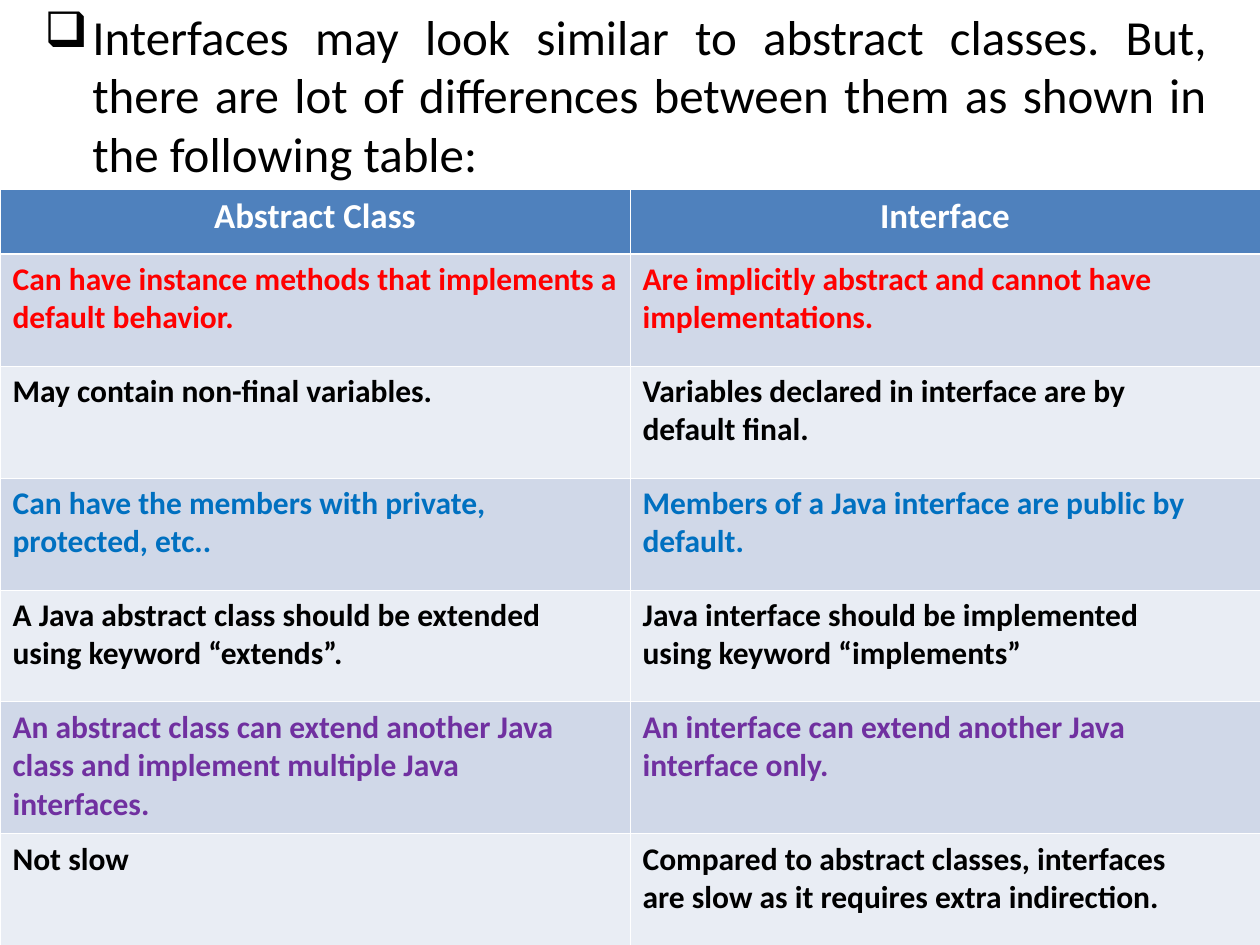
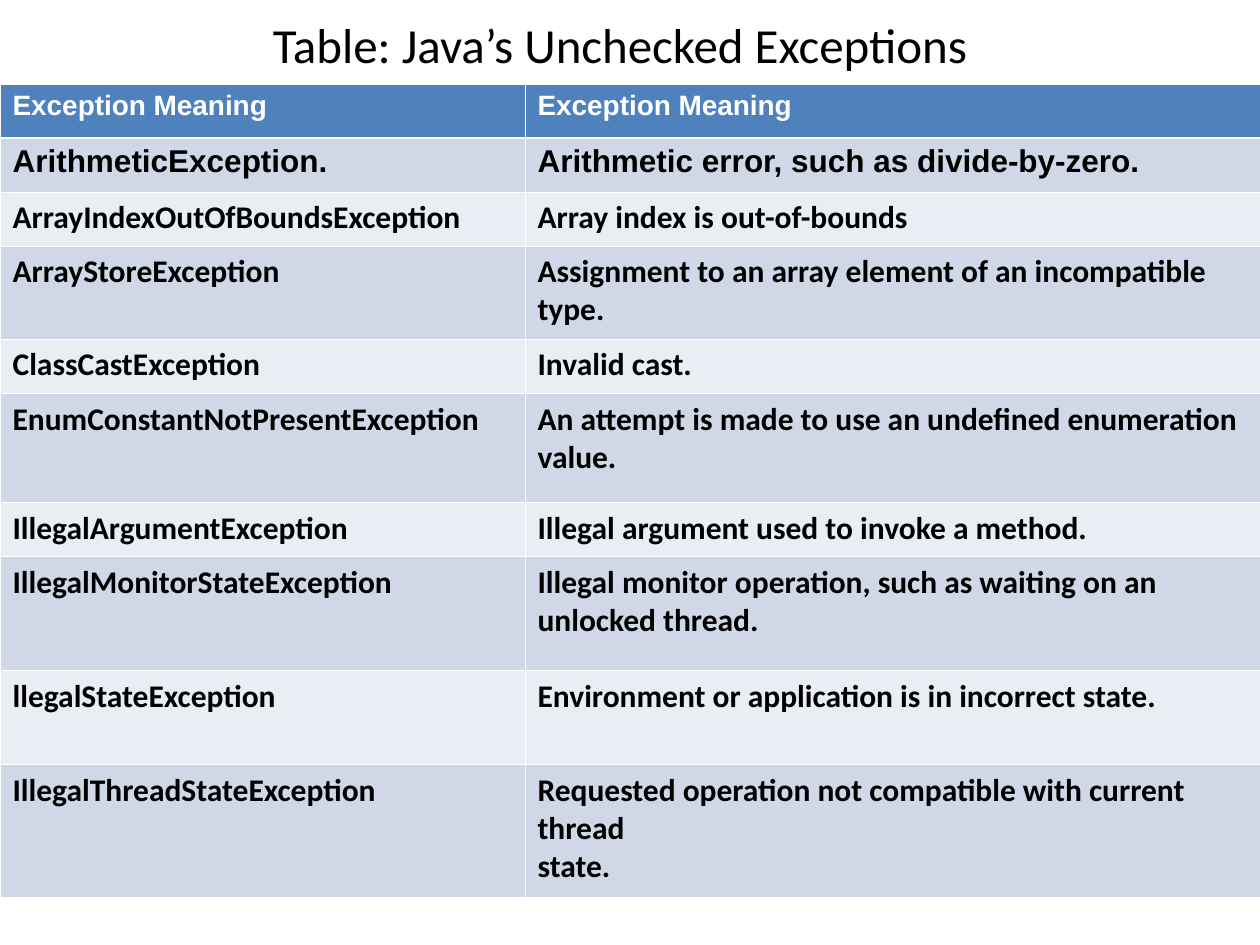
"""Build two slides of Java comparison tables: abstract classes and unchecked exceptions."""
import lxml.etree
import pptx
import pptx.dml.color
import pptx.enum.text
import pptx.oxml.ns
import pptx.util

PX = 914400 / 126
BLACK, WHITE = "000000", "FFFFFF"
HEADER_FILL, BAND_FILLS = "4F81BD", ("E9EDF4", "D0D8E8")
RED, BLUE, PURPLE = "FF0000", "0070C0", "7030A0"
THIN, THICK = 0.45, 1.47
ALIGN = pptx.enum.text.PP_ALIGN
LEFT, CENTER, JUSTIFY = ALIGN.LEFT, ALIGN.CENTER, ALIGN.JUSTIFY


def colour(target, hex_code):
    """Give a fill or a font a solid colour."""
    if hasattr(target, "solid"):
        target.solid()
        target.fore_color.rgb = pptx.dml.color.RGBColor.from_string(hex_code)
    else:
        target.color.rgb = pptx.dml.color.RGBColor.from_string(hex_code)


def write(frame, text, font="Calibri", size=28, ink=BLACK, bold=False, align=LEFT):
    """Fill a text frame with one paragraph for each line of text."""
    frame.word_wrap = True
    for number, line in enumerate(text.split("\n")):
        paragraph = frame.add_paragraph() if number else frame.paragraphs[0]
        paragraph.alignment = align
        run = paragraph.add_run()
        run.text = line
        run.font.name, run.font.size, run.font.bold = font, pptx.util.Pt(size), bold
        colour(run.font, ink)


deck = pptx.Presentation()
deck.slide_width, deck.slide_height = round(1260 * PX), round(945 * PX)

comparison = deck.slides.add_slide(deck.slide_layouts[6])
intro = comparison.shapes.add_textbox(*(round(n * PX) for n in (32, 0, 1187, 844)))
write(intro.text_frame,
      "Interfaces may look similar to abstract classes. But, there are lot of "
      "differences between them as shown in the following table:", align=JUSTIFY)
intro_paragraph = intro.text_frame.paragraphs[0]
intro_paragraph.space_before = pptx.util.Pt(7)
indent = round(48 * PX)
properties = intro_paragraph._p.get_or_add_pPr()
properties.set("marL", str(indent))
properties.set("indent", str(-indent))
bullet = lxml.etree.SubElement(properties, pptx.oxml.ns.qn("a:buChar"))
bullet.set("char", "❑")

exceptions = deck.slides.add_slide(deck.slide_layouts[5])
title = exceptions.shapes.title
title.left, title.top, title.width, title.height = (round(n * PX) for n in (53, 0, 1134, 88))
title.text_frame.vertical_anchor = pptx.enum.text.MSO_ANCHOR.MIDDLE
write(title.text_frame, "Table: Java’s Unchecked Exceptions", align=CENTER)

class_header = dict(size=20, ink=WHITE, align=CENTER)
class_rows = [
    (65, "Abstract Class", "Interface", class_header),
    (112, "Can have instance methods that implements a default behavior.",
     "Are implicitly abstract and cannot have\nimplementations.", dict(ink=RED)),
    (112, "May contain non-final variables.",
     "Variables declared in interface are by\ndefault final.", {}),
    (112, "Can have the members with private,\nprotected, etc..",
     "Members of a Java interface are public by\ndefault.", dict(ink=BLUE)),
    (112, "A Java abstract class should be extended\nusing keyword “extends”.",
     "Java interface should be implemented\nusing keyword “implements”", {}),
    (132, "An abstract class can extend another Java\nclass and implement multiple Java\ninterfaces.",
     "An interface can extend another Java\ninterface only.", dict(ink=PURPLE)),
    (112, "Not slow",
     "Compared to abstract classes, interfaces\nare slow as it requires extra indirection.", {}),
]
exception_header = dict(font="Arial", size=16, ink=WHITE)
exception_rows = [
    (54, "Exception Meaning", "Exception Meaning", exception_header),
    (54, "ArithmeticException.", "Arithmetic error, such as divide-by-zero.", dict(font="Arial")),
    (54, "ArrayIndexOutOfBoundsException", "Array index is out-of-bounds", {}),
    (93, "ArrayStoreException", "Assignment to an array element of an incompatible type.", {}),
    (55, "ClassCastException", "Invalid cast.", {}),
    (109, "EnumConstantNotPresentException",
     "An attempt is made to use an undefined enumeration\nvalue.", {}),
    (54, "IllegalArgumentException", "Illegal argument used to invoke a method.", {}),
    (114, "IllegalMonitorStateException",
     "Illegal monitor operation, such as waiting on an unlocked thread.", {}),
    (94, "llegalStateException", "Environment or application is in incorrect state.", {}),
    (133, "IllegalThreadStateException",
     "Requested operation not compatible with current thread\nstate.", {}),
]

for slide, top, widths, rows, body_align in (
    (comparison, 189, (630, 630), class_rows, JUSTIFY),
    (exceptions, 84, (525, 735), exception_rows, LEFT),
):
    height = sum(row[0] for row in rows)
    grid = slide.shapes.add_table(len(rows), len(widths), 0, round(top * PX),
                                  round(sum(widths) * PX), round(height * PX)).table
    for column, width in zip(grid.columns, widths):
        column.width = round(width * PX)
    for index, (row_height, *texts, style) in enumerate(rows):
        grid.rows[index].height = round(row_height * PX)
        for cell, text in zip(grid.rows[index].cells, texts):
            write(cell.text_frame, text, **{"size": 18, "bold": True, "align": body_align, **style})
            colour(cell.fill, BAND_FILLS[index % 2] if index else HEADER_FILL)
            edges = dict(lnL=THIN, lnR=THIN, lnT=THICK if index == 1 else THIN,
                         lnB=THIN if index else THICK)
            for place, (edge, points) in enumerate(edges.items()):
                border = lxml.etree.Element(pptx.oxml.ns.qn(f"a:{edge}"), w=str(round(points * 12700)))
                paint = lxml.etree.SubElement(border, pptx.oxml.ns.qn("a:solidFill"))
                lxml.etree.SubElement(paint, pptx.oxml.ns.qn("a:srgbClr"), val=WHITE)
                cell._tc.get_or_add_tcPr().insert(place, border)

deck.save("out.pptx")
